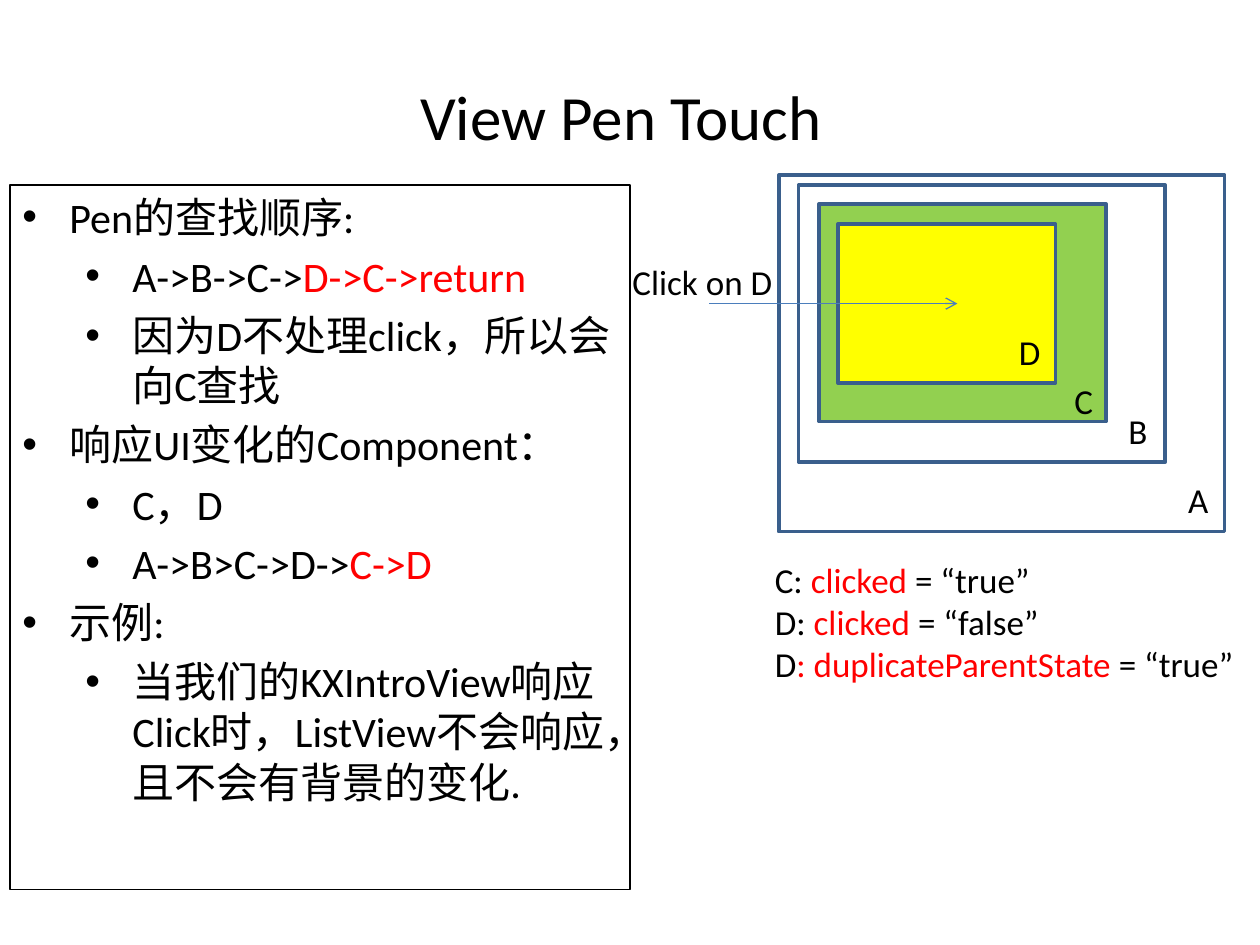
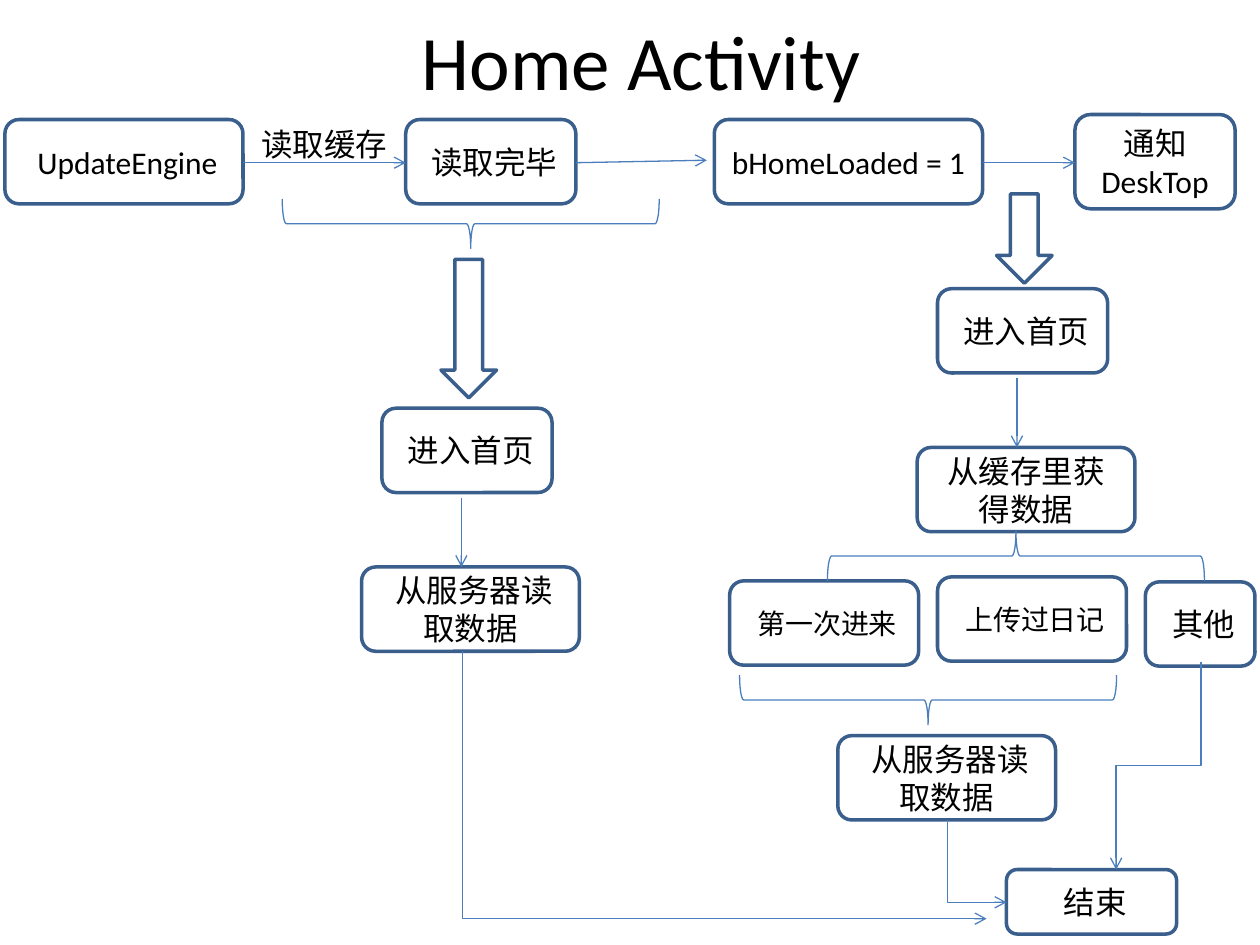
import pptx
import pptx.dml.color
import pptx.enum.shapes
import pptx.enum.text
import pptx.oxml
import pptx.oxml.ns
import pptx.util

Cm = pptx.util.Cm
Pt = pptx.util.Pt
SHAPES = pptx.enum.shapes.MSO_SHAPE
CONNECTORS = pptx.enum.shapes.MSO_CONNECTOR
ALIGN = pptx.enum.text.PP_ALIGN
ANCHOR = pptx.enum.text.MSO_ANCHOR

FONT = "Calibri"
INK, RED, WHITE = "000000", "FF0000", "FFFFFF"
GREEN, YELLOW = "92D050", "FFFF00"
EDGE, LINK = "3A5F8C", "4B7EBC"
NAMESPACE = pptx.oxml.ns.nsdecls("a")


def colour(value):
    """Turn a hex string into a colour."""
    return pptx.dml.color.RGBColor.from_string(value)


class Painter:
    """Hold the style and the current slide, and draw each kind of element."""

    def __init__(self):
        """Open a blank deck of 4:3 pages."""
        self.deck = pptx.Presentation()
        self.deck.slide_width, self.deck.slide_height = Cm(25.4), Cm(19.05)
        self.page = None

    def new_page(self, title, left, top, height, size):
        """Add a page with a centred title."""
        self.page = self.deck.slides.add_slide(self.deck.slide_layouts[6])
        box = self.text((left, top, 22.86, height), [[(title, INK)]], size, ALIGN.CENTER)
        box.text_frame.vertical_anchor = ANCHOR.MIDDLE

    def add_spans(self, para, spans, size):
        """Add coloured runs to a paragraph."""
        for words, ink in spans:
            span = para.add_run()
            span.text = words
            span.font.name, span.font.size = FONT, Pt(size)
            span.font.color.rgb = colour(ink)

    def text(self, area, paragraphs, size=20, align=ALIGN.LEFT, wrap=True):
        """Add a text box from paragraphs made of runs."""
        box = self.page.shapes.add_textbox(*map(Cm, area))
        frame = box.text_frame
        frame.word_wrap = wrap
        for index, spans in enumerate(paragraphs):
            para = frame.add_paragraph() if index else frame.paragraphs[0]
            para.alignment = align
            self.add_spans(para, spans, size)
        return box

    def label(self, area, words, size=20, align=ALIGN.LEFT):
        """Add a one-line label."""
        self.text(area, [[(words, INK)]], size, align, wrap=False)

    def bullets(self, area, items):
        """Add a framed list of (level, runs) items."""
        box = self.text(area, [spans for _, spans in items], 24)
        box.line.color.rgb, box.line.width = colour(INK), Pt(0.75)
        for para, (level, _) in zip(box.text_frame.paragraphs, items):
            para.level, para.space_before = level, Pt(5)
            properties = para._p.get_or_add_pPr()
            properties.set("marL", str(Cm(0.95 + 1.27 * level)))
            properties.set("indent", str(Cm(-0.95)))
            for mark in ('buFont typeface="Arial"', 'buChar char="•"'):
                properties.append(pptx.oxml.parse_xml(f"<a:{mark} {NAMESPACE}/>"))

    def shape(self, kind, area, fill=None, edge=EDGE, width=2, rotation=0):
        """Add an outlined preset shape."""
        shape = self.page.shapes.add_shape(kind, *map(Cm, area))
        shape.shadow.inherit = False
        shape.rotation = rotation
        shape.line.color.rgb, shape.line.width = colour(edge), Pt(width)
        if fill:
            shape.fill.solid()
            shape.fill.fore_color.rgb = colour(fill)
        else:
            shape.fill.background()
        return shape

    def step(self, words, left, top, width=4.39, height=1.7, size=18):
        """Add a rounded flow step with centred text."""
        step = self.shape(SHAPES.FLOWCHART_ALTERNATE_PROCESS, (left, top, width, height), WHITE)
        frame = step.text_frame
        frame.word_wrap, frame.vertical_anchor = True, ANCHOR.MIDDLE
        frame.paragraphs[0].alignment = ALIGN.CENTER
        self.add_spans(frame.paragraphs[0], [(words, INK)], size)

    def brace(self, centre, middle, rotation):
        """Add a brace lying on its side around a centre point."""
        area = (centre - 0.5, middle - 3.8, 1, 7.6)
        self.shape(SHAPES.LEFT_BRACE, area, None, LINK, 0.75, rotation)

    def arrow(self, start, end, kind=CONNECTORS.STRAIGHT):
        """Add a thin connector with an open arrowhead."""
        link = self.page.shapes.add_connector(kind, *map(Cm, start + end))
        link.line.color.rgb, link.line.width = colour(LINK), Pt(0.75)
        head = pptx.oxml.parse_xml(f'<a:tailEnd type="arrow" {NAMESPACE}/>')
        link.line._get_or_add_ln().append(head)
        link._element.spPr.append(pptx.oxml.parse_xml(f"<a:effectLst {NAMESPACE}/>"))
        return link

    def elbow(self, start, end):
        """Add a bent arrow that leaves downwards: one bend to the right, two to the left."""
        (x1, y1), (x2, y2) = start, end
        centre, middle = (x1 + x2) / 2, (y1 + y2) / 2
        across, down = abs(x2 - x1) / 2, (y2 - y1) / 2
        link = self.arrow((centre - down, middle - across),
                          (centre + down, middle + across), CONNECTORS.ELBOW)
        properties = link._element.spPr
        frame = properties.find(pptx.oxml.ns.qn("a:xfrm"))
        if x2 > x1:
            frame.set("rot", str(270 * 60000))
            frame.set("flipH", "1")
            properties.find(pptx.oxml.ns.qn("a:prstGeom")).set("prst", "bentConnector2")
        else:
            frame.set("rot", str(90 * 60000))


def pen_touch(painter):
    """Draw the nested views and the lookup order."""
    painter.new_page("View Pen Touch", 1.09, 0.74, 3.18, 36)
    views = [
        ((15.7, 3.53, 8.99, 7.19), None),
        ((16.1, 3.73, 7.39, 5.59), None),
        ((16.51, 4.11, 5.79, 4.39), GREEN),
        ((16.89, 4.52, 4.39, 3.2), YELLOW),
    ]
    for area, fill in views:
        painter.shape(SHAPES.RECTANGLE, area, fill)
    names = [("A", 23.7, 9.53), ("B", 22.5, 8.13), ("C", 21.41, 7.52), ("D", 20.29, 6.53)]
    for name, left, top in names:
        painter.label((left, top, 0.9, 1.12), name)
    painter.label((12.5, 5.13, 3.4, 1.12), "Click on D")
    painter.arrow((14.3, 6.12), (19.3, 6.12))
    painter.bullets((0.2, 3.73, 12.5, 14.2), [
        (0, [("Pen的查找顺序:", INK)]),
        (1, [("A->B->C->", INK), ("D->C->return", RED)]),
        (1, [("因为D不处理click，所以会向C查找", INK)]),
        (0, [("响应UI变化的Component：", INK)]),
        (1, [("C，D", INK)]),
        (1, [("A->B>C->D->", INK), ("C->D", RED)]),
        (0, [("示例:", INK)]),
        (1, [("当我们的KXIntroView响应Click时，ListView不会响应，且不会有背景的变化.", INK)]),
    ])
    states = painter.text((14.1, 11.13, 11.3, 2.82), [
        [("C: ", INK), ("clicked", RED), (" = “true”", INK)],
        [("D: ", INK), ("clicked", RED), (" = “false”", INK)],
        [("D", INK), (": duplicateParentState ", RED), ("= “true”", INK)],
    ])
    for para in states.text_frame.paragraphs:
        para.level = 1
        para._p.get_or_add_pPr().set("marL", str(Cm(1.27)))


def home_activity(painter):
    """Draw the start-up flow of the home page."""
    painter.new_page("Home Activity", 1.5, 0, 2.41, 44)
    painter.step(" UpdateEngine", 0.1, 2.41, 4.8)
    painter.step(" 读取完毕", 8.18, 2.41, 3.43)
    painter.step("bHomeLoaded = 1 ", 14.4, 2.41, 5.41)
    painter.step("通知DeskTop", 21.67, 2.31, 3.23, 1.9)
    painter.label((5, 2.39, 3.07, 1.02), "读取缓存", 18, ALIGN.CENTER)
    for left, top in [(7.7, 8.23), (18.9, 5.82)]:
        painter.step(" 进入首页", left, top, 3.43)
    for left, top in [(7.29, 11.43), (16.89, 14.83)]:
        painter.step(" 从服务器读取数据", left, top)
    painter.step("从缓存里获得数据", 18.49, 9.02)
    painter.step(" 第一次进来", 14.71, 11.71, 3.81, size=16)
    painter.step(" 上传过日记", 18.9, 11.63, 3.81, size=16)
    painter.step(" 其他", 23.09, 11.73, 2.21)
    painter.step(" 结束", 20.29, 17.53, 3.43, 1.3)
    for area in [(8.89, 5.23, 1.12, 2.79), (20.09, 3.91, 1.12, 1.8)]:
        painter.shape(SHAPES.DOWN_ARROW, area)
    for centre, middle, rotation in [(9.49, 4.51, 270), (20.48, 11.21, 90), (18.71, 14.11, 270)]:
        painter.brace(centre, middle, rotation)
    arrows = [
        ((4.9, 3.28), (8.18, 3.28)),
        ((11.61, 3.28), (14.25, 3.23)),
        ((19.81, 3.28), (21.67, 3.28)),
        ((9.3, 10.03), (9.3, 11.43)),
        ((20.5, 7.62), (20.5, 9.02)),
    ]
    for start, end in arrows:
        painter.arrow(start, end)
    elbows = [
        ((19.1, 16.54), (20.29, 18.19)),
        ((24.21, 13.34), (22.5, 17.53)),
        ((9.32, 13.13), (19.89, 18.52)),
    ]
    for start, end in elbows:
        painter.elbow(start, end)


painter = Painter()
pen_touch(painter)
home_activity(painter)
painter.deck.save("out.pptx")
